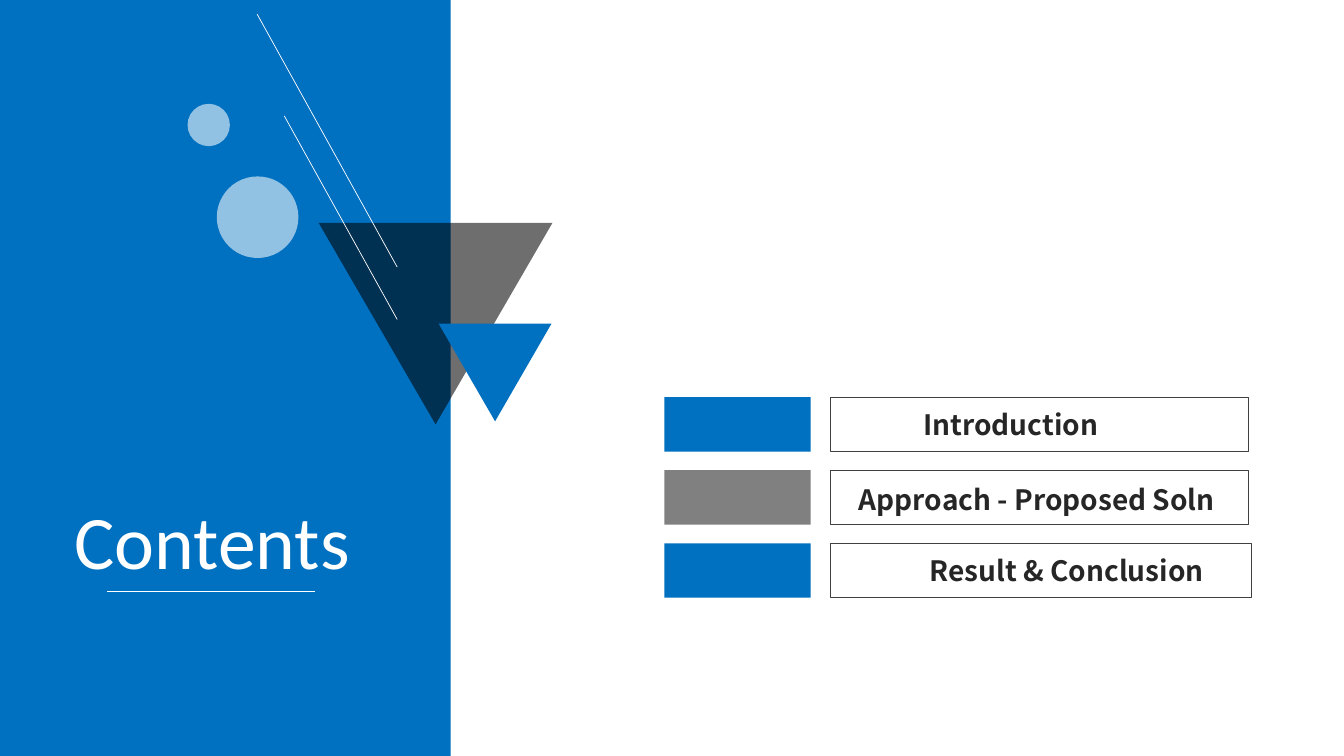
from dataclasses import dataclass
from typing import Any, NamedTuple

from lxml.etree import SubElement as Sub
from pptx import Presentation
from pptx.dml.color import RGBColor as Rgb
from pptx.enum.shapes import MSO_CONNECTOR as Link, MSO_SHAPE as Kind
from pptx.enum.text import MSO_ANCHOR as Anchor, MSO_AUTO_SIZE as Fit, PP_ALIGN as Align
from pptx.oxml.ns import qn
from pptx.util import Inches, Pt


@dataclass(frozen=True)
class Theme:
    blue: str = "0070C0"
    gray: str = "808080"
    black: str = "000000"
    white: str = "FFFFFF"
    edge: str = "404040"
    ink: str = "262626"
    head: str = "Calibri"
    body: str = "Noto Sans CJK SC"
    big: float = 54
    mid: float = 20
    thin: float = 0.5
    frame: float = 0.75


class Box(NamedTuple):
    left: float
    top: float
    width: float
    height: float


class Form(NamedTuple):
    kind: Kind
    box: Box
    fill: str
    alpha: int = 100
    turn: int = 0


class Line(NamedTuple):
    x1: float
    y1: float
    x2: float
    y2: float


class Row(NamedTuple):
    text: str
    fill: str
    width: float
    left: float
    drop: float
    span: float


THEME = Theme()

FORMS = [
    Form(Kind.RECTANGLE, Box(0, 0, 4.47, 7.5), THEME.blue),
    Form(Kind.ISOSCELES_TRIANGLE, Box(3.16, 2.21, 2.32, 2), THEME.black, 57, 180),
    Form(Kind.ISOSCELES_TRIANGLE, Box(4.35, 3.21, 1.12, 0.97), THEME.blue, turn=180),
    Form(Kind.OVAL, Box(2.15, 1.75, 0.81, 0.81), THEME.white, 57),
    Form(Kind.OVAL, Box(1.86, 1.03, 0.42, 0.42), THEME.white, 57),
]
LINES = [
    Line(2.82, 1.15, 3.94, 3.17),
    Line(2.55, 0.14, 3.94, 2.65),
    Line(1.06, 5.87, 3.12, 5.87),
]
ROWS = [
    Row("Introduction", THEME.blue, 4.14, 9.06, 0.05, 2.5),
    Row("Approach - Proposed Soln", THEME.gray, 4.14, 8.42, 0.07, 4.09),
    Row("Result & Conclusion", THEME.blue, 4.17, 9.12, 0.05, 3.51),
]
TOP, STEP, TALL = 3.94, 0.725, 0.54


def style(item: Any, values: dict[str, Any]) -> None:
    for name, value in values.items():
        setattr(item, name, value)


def place(box: Box) -> list[int]:
    return [Inches(side) for side in box]


def draw_form(slide: Any, form: Form) -> None:
    shape = slide.shapes.add_shape(form.kind, *place(form.box))
    shape.shadow.inherit = False
    shape.rotation = form.turn
    shape.fill.solid()
    shape.fill.fore_color.rgb = Rgb.from_string(form.fill)
    shape.line.fill.background()
    if form.alpha < 100:
        color = shape.element.spPr.find(f"{qn('a:solidFill')}/{qn('a:srgbClr')}")
        Sub(color, qn("a:alpha"), val=str(form.alpha * 1000))


def draw_line(slide: Any, line: Line) -> None:
    link = slide.shapes.add_connector(Link.STRAIGHT, *[Inches(end) for end in line])
    link.line.color.rgb = Rgb.from_string(THEME.white)
    link.line.width = Pt(THEME.thin)
    Sub(link.element.spPr, qn("a:effectLst"))


def draw_frame(slide: Any, box: Box) -> None:
    shape = slide.shapes.add_shape(Kind.RECTANGLE, *place(box))
    shape.shadow.inherit = False
    shape.fill.background()
    shape.line.color.rgb = Rgb.from_string(THEME.edge)
    shape.line.width = Pt(THEME.frame)


def write(shape: Any, text: str, color: str, font: dict[str, Any]) -> None:
    frame = shape.text_frame
    frame.text = text
    style(frame, {"word_wrap": True, "auto_size": Fit.NONE,
                  "vertical_anchor": Anchor.TOP})
    para = frame.paragraphs[0]
    para.alignment = Align.LEFT
    run = para.runs[0]
    style(run.font, font)
    run.font.color.rgb = Rgb.from_string(color)


def draw_row(slide: Any, row: Row, top: float) -> None:
    draw_frame(slide, Box(8.24, top, row.width, TALL))
    label = slide.shapes.add_textbox(
        *place(Box(row.left, top + row.drop, row.span, 0.44)))
    write(label, row.text, THEME.ink,
          {"name": THEME.body, "size": Pt(THEME.mid), "bold": True})
    draw_form(slide, Form(Kind.RECTANGLE, Box(6.59, top, 1.45, TALL), row.fill))


def draw_title(slide: Any) -> None:
    """Fill the title and lift it above the blue panel."""
    title = slide.shapes.title
    sides = place(Box(0.64, 4.85, 3.26, 1.01))
    style(title, dict(zip(("left", "top", "width", "height"), sides)))
    write(title, "Contents", THEME.white,
          {"name": THEME.head, "size": Pt(THEME.big)})
    title.element.getparent().append(title.element)


def main() -> None:
    deck = Presentation()
    style(deck, {"slide_width": Inches(13.33), "slide_height": Inches(7.5)})
    slide = deck.slides.add_slide(deck.slide_layouts.get_by_name("Title Only"))
    for form in FORMS:
        draw_form(slide, form)
    for line in LINES:
        draw_line(slide, line)
    draw_title(slide)
    for i, row in enumerate(ROWS):
        draw_row(slide, row, TOP + i * STEP)
    deck.save("out.pptx")


if __name__ == "__main__":
    main()
